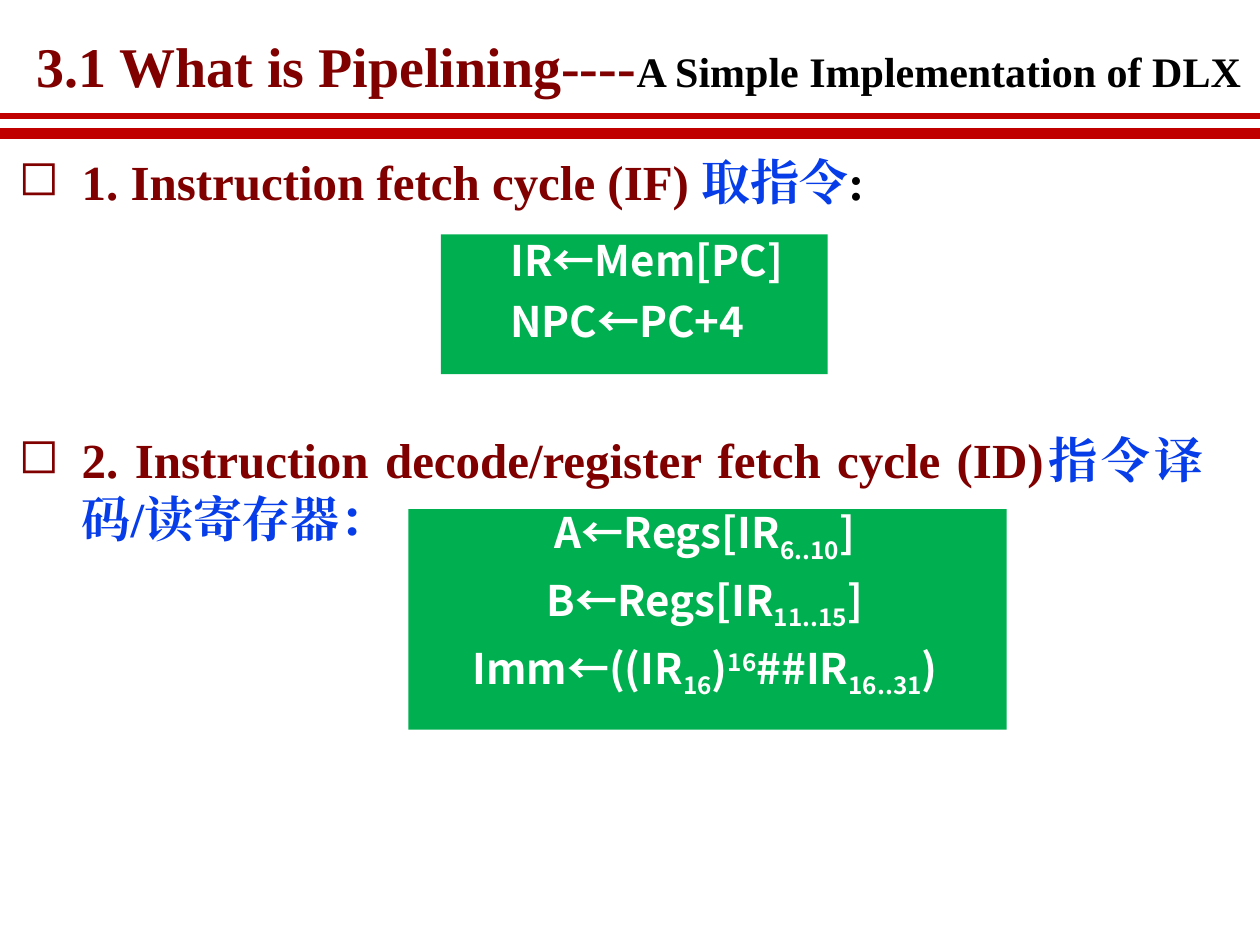
import pptx
import pptx.util
import pptx.dml.color
import pptx.enum.shapes
import pptx.enum.text
import lxml.etree

W, H = 10, 7.5
SERIF, SANS = "Times New Roman", "Noto Sans CJK SC"
MAROON, BLUE, BLACK, WHITE = "800000", "063DE8", "000000", "FFFFFF"
RED, GREEN = "C00000", "00B050"
ALIGN = pptx.enum.text.PP_ALIGN

TITLE = [("3.1 What is Pipelining----", MAROON, 32),
         ("A Simple Implementation of DLX", BLACK, 24)]
RULES = [(1.06, 6), (0.92, 3)]
STEPS = [
    (1.15, 0.57, [("1. Instruction fetch cycle (IF) ", MAROON),
                  ("取指令", BLUE), (":", BLACK)]),
    (3.36, 1.05, [("2. Instruction decode/register fetch cycle (ID)", MAROON),
                  ("指令译码/读寄存器：", BLUE)]),
]
PANELS = [
    {"panel": (3.5, 1.86, 3.07, 1.11), "text": (3.98, 1.86, 3.05, 1.11),
     "align": ALIGN.LEFT,
     "lines": [[("IR←Mem[PC]", 0)], [("NPC←PC+4", 0)]]},
    {"panel": (3.24, 4.04, 4.75, 1.75), "text": (2.8, 4.02, 5.59, 1.72),
     "align": ALIGN.CENTER,
     "lines": [[("A←Regs[IR", 0), ("6..10", -25), ("]", 0)],
               [("B←Regs[IR", 0), ("11..15", -25), ("]", 0)],
               [("Imm←((IR", 0), ("16", -25), (")", 0), ("16", 30),
                ("##IR", 0), ("16..31", -25), (")", 0)]]},
]


def rgb(value):
    return pptx.dml.color.RGBColor.from_string(value)


def inches(*values):
    return [pptx.util.Inches(v) for v in values]


def add_xml(parent, tag, **attrs):
    ns = pptx.oxml.ns.qn("a:" + tag)
    return lxml.etree.SubElement(parent, ns, attrs)


def add_box(s, at, insets, wrap=True):
    tf = s.shapes.add_textbox(*inches(*at)).text_frame
    sides = ("margin_left", "margin_top", "margin_right", "margin_bottom")
    for side, value in zip(sides, inches(*insets)):
        setattr(tf, side, value)
    tf.word_wrap = wrap
    return tf


def add_run(p, text, color, size, face=SERIF, baseline=0):
    r = p.add_run()
    r.text = text
    for key, value in {"name": face, "size": pptx.util.Pt(size), "bold": True}.items():
        setattr(r.font, key, value)
    r.font.color.rgb = rgb(color)
    rpr = r.font._element
    add_xml(rpr, "ea", typeface=face)
    if baseline:
        rpr.set("baseline", str(baseline * 1000))


def add_title(s):
    p = add_box(s, (0.22, 0.25, 9.81, 0.6), (0.07, 0.07, 0.07, 0.03), False).paragraphs[0]
    p.line_spacing = 0.87
    for text, color, size in TITLE:
        add_run(p, text, color, size)


def add_rule(s, y, width):
    kind = pptx.enum.shapes.MSO_CONNECTOR.STRAIGHT
    sp = s.shapes.add_connector(kind, *inches(0, y, W, y))
    sp.line.color.rgb = rgb(RED)
    sp.line.width = pptx.util.Pt(width)
    add_xml(sp._element.spPr, "effectLst")


def add_step(s, top, height, runs):
    p = add_box(s, (0.05, top, 0.96 * W, height), (0.1, 0.05, 0.1, 0.05)).paragraphs[0]
    p.alignment = ALIGN.JUSTIFY
    ppr = p._p.get_or_add_pPr()
    indent = pptx.util.Inches(0.5)
    ppr.set("marL", str(indent))
    ppr.set("indent", str(-indent))
    add_xml(ppr, "buChar", char="◻")
    for text, color in runs:
        add_run(p, text, color, 28)


def add_panel(s, panel, text, align, lines):
    kind = pptx.enum.shapes.MSO_SHAPE.RECTANGLE
    sp = s.shapes.add_shape(kind, *inches(*panel))
    sp.shadow.inherit = False
    sp.fill.solid()
    sp.fill.fore_color.rgb = rgb(GREEN)
    sp.line.fill.background()
    tf = add_box(s, text, (0.07, 0, 0.07, 0))
    for i, line in enumerate(lines):
        p = tf.add_paragraph() if i else tf.paragraphs[0]
        p.alignment = align
        if i:
            p.space_before = pptx.util.Pt(6)
        for part, baseline in line:
            add_run(p, part, WHITE, 24, SANS, baseline)


def main():
    prs = pptx.Presentation()
    prs.slide_width, prs.slide_height = inches(W, H)
    s = prs.slides.add_slide(prs.slide_layouts[6])
    add_title(s)
    for rule in RULES:
        add_rule(s, *rule)
    for step, panel in zip(STEPS, PANELS):
        add_step(s, *step)
        add_panel(s, **panel)
    prs.save("out.pptx")


if __name__ == "__main__":
    main()
